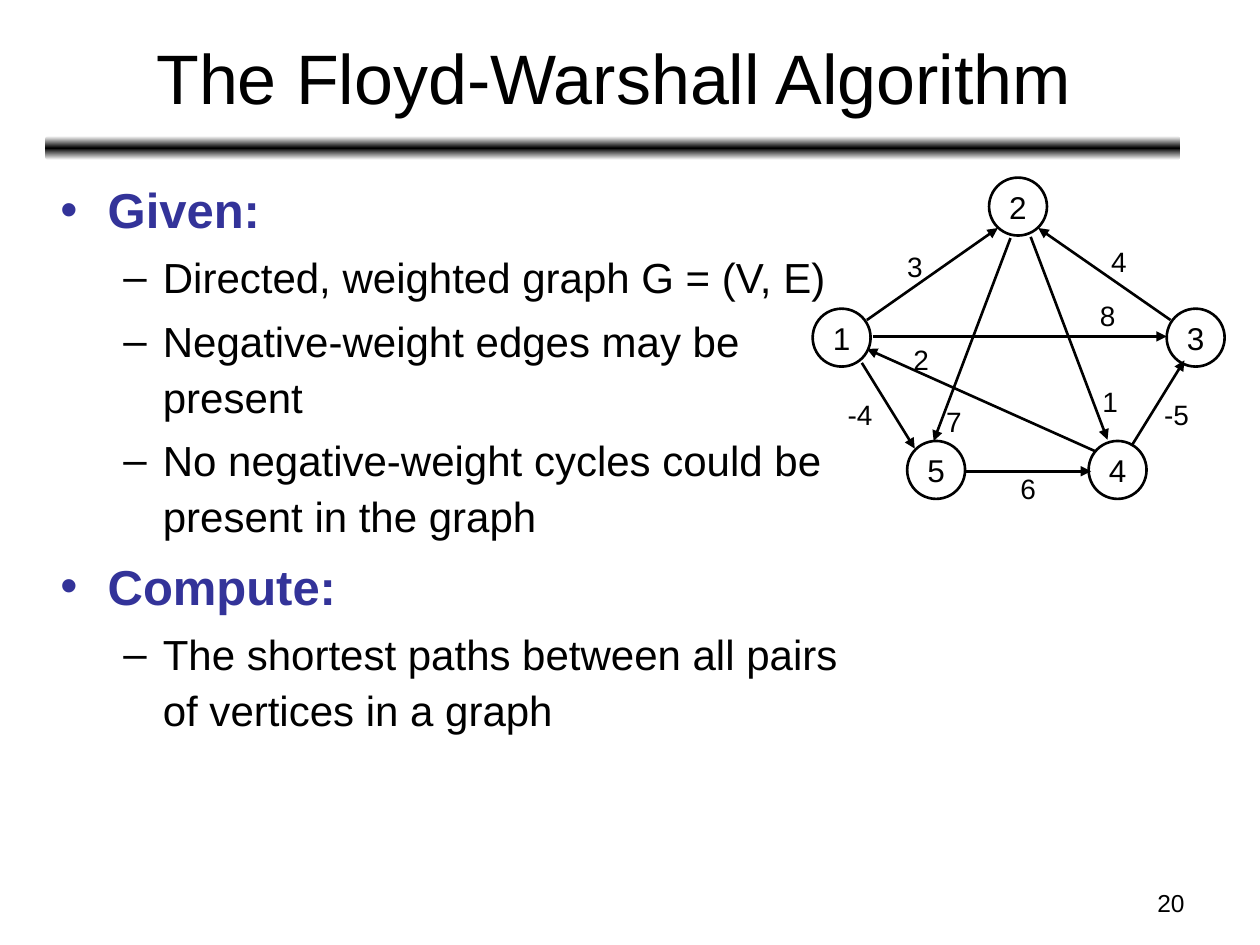
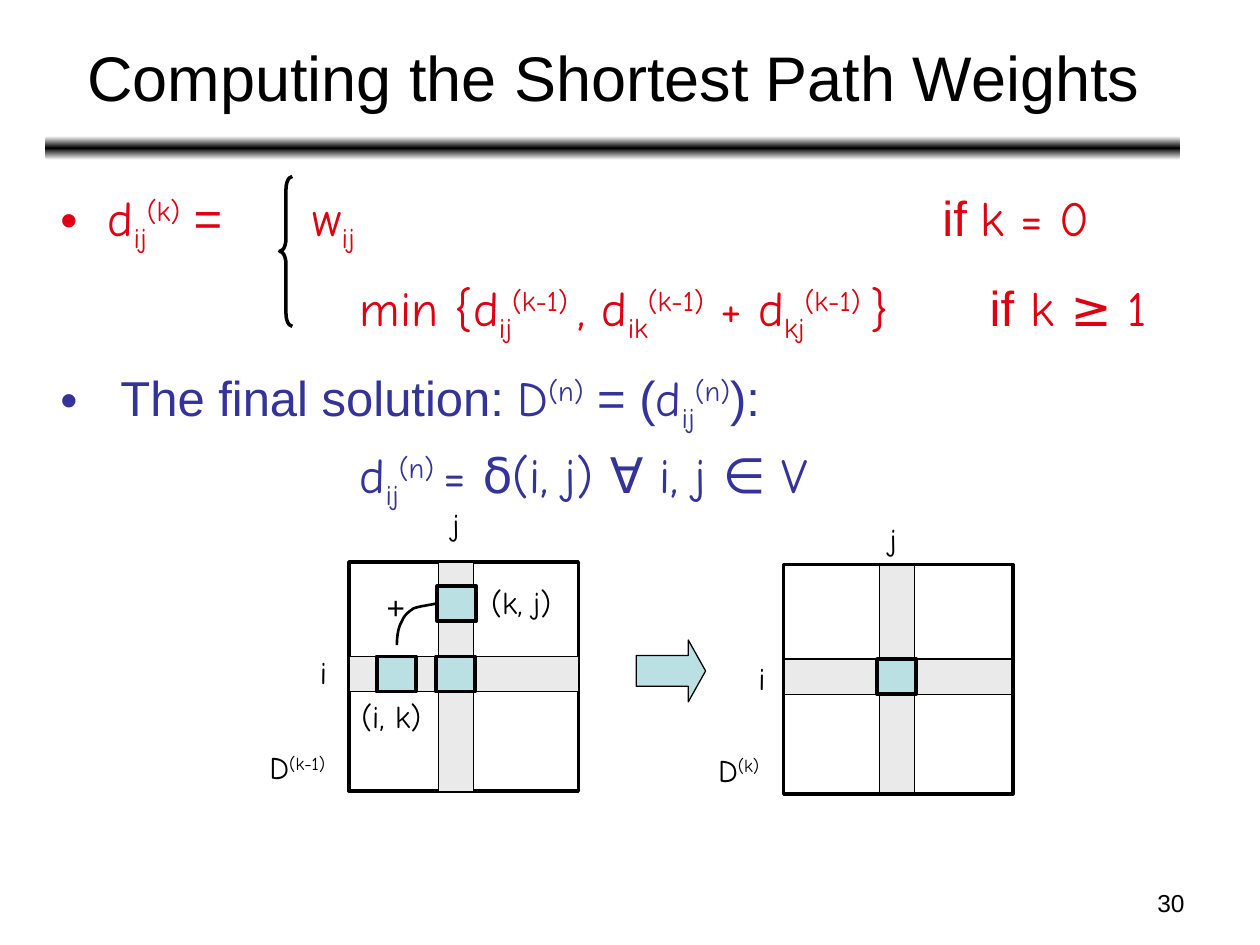
from collections import namedtuple
from copy import deepcopy
from dataclasses import dataclass

from lxml.etree import SubElement
from pptx import Presentation
from pptx.dml.color import RGBColor
from pptx.enum.shapes import MSO_CONNECTOR as Connector, MSO_SHAPE as Preset
from pptx.enum.text import MSO_ANCHOR as Anchor, MSO_AUTO_SIZE as AutoSize, PP_ALIGN as Align
from pptx.oxml.ns import qn
from pptx.util import Inches, Pt

BLACK, WHITE, BLUE, RED = "000000", "FFFFFF", "333399", "DD0111"
BAND_GREY, CELL_TEAL = "EAEAEA", "BBE0E3"
SANS, HAND = "Arial", "Comic Neue"
SUB, SUP = -25, 30
COLUMNS, ROWS = 100, 75
CELL = Inches(10) / COLUMNS

Span = namedtuple("Span", "text shift font", defaults=(0, None))


@dataclass(frozen=True)
class Box:
    """An area of the page, in grid columns and rows."""
    left: float
    top: float
    width: float
    height: float

    def inner(self, left, top, width, height):
        return Box(self.left + left, self.top + top, width, height)

    def point(self, x, y):
        return round((self.left + x) * CELL), round((self.top + y) * CELL)

    def frame(self):
        return (*self.point(0, 0), round(self.width * CELL), round(self.height * CELL))


PAGE = Box(0, 0, COLUMNS, ROWS)
TITLE = PAGE.inner(3.7, 1.1, 90, 9.9)
RULE = PAGE.inner(3.6, 10.8, 90.1, 1.9)
NUMBER = PAGE.inner(71.7, 70, 23.3, 3.5)


def rgb(color):
    return RGBColor.from_string(color)


def sans(text):
    return Span(text, font=SANS)


def term(symbol, lower, upper):
    """A symbol with its subscript and superscript."""
    return [Span(symbol), Span(lower, SUB), Span(upper, SUP)]


def write(para, spans, size, color=BLACK, font=SANS, bold=None):
    para.font.size, para.font.name, para.font.bold = Pt(size), font, bold
    para.font.color.rgb = rgb(color)
    for item in spans:
        span = para.add_run()
        span.text = item.text
        if item.font:
            span.font.name = item.font
        if item.shift:
            span._r.get_or_add_rPr().set("baseline", str(item.shift * 1000))


def add_label(page, box, spans, size, font=SANS, align=None, wrap=False):
    label = page.shapes.add_textbox(*box.frame())
    label.text_frame.word_wrap = wrap
    para = label.text_frame.paragraphs[0]
    para.alignment = align
    write(para, spans, size, font=font)


def style(shape, fill=None, line=BLACK, weight=2.0):
    shape.shadow.inherit = False
    if fill:
        shape.fill.solid()
        shape.fill.fore_color.rgb = rgb(fill)
    else:
        shape.fill.background()
    shape.line.color.rgb = rgb(line)
    shape.line.width = Pt(weight)


def add_preset(page, preset, box, fill=None, weight=2.0, adjust=()):
    shape = page.shapes.add_shape(preset, *box.frame())
    style(shape, fill, weight=weight)
    for index, value in enumerate(adjust):
        shape.adjustments[index] = value
    return shape


def add_arrow(page, start, end):
    arrow = page.shapes.add_connector(Connector.STRAIGHT, *start, *end)
    arrow.line.color.rgb = rgb(BLACK)
    arrow.line.width = Pt(1.5)
    SubElement(arrow.line._get_or_add_ln(), qn("a:tailEnd"), type="triangle")
    SubElement(arrow._element.spPr, qn("a:effectLst"))


def add_curve(page, box, points):
    """Draw joined cubic curves; each takes four points and shares its ends."""
    steps = 8
    track = []
    for first in range(0, len(points) - 1, 3):
        controls = points[first:first + 4]
        for step in range(steps + 1):
            t = step / steps
            weights = ((1 - t) ** 3, 3 * t * (1 - t) ** 2, 3 * t * t * (1 - t), t ** 3)
            track.append(box.point(*(sum(w * p[axis] for w, p in zip(weights, controls))
                                     for axis in (0, 1))))
    builder = page.shapes.build_freeform(*track[0])
    builder.add_line_segments(track[1:], close=False)
    style(builder.convert_to_shape(), weight=1.5)


def add_rule_to_master(deck, page):
    rule = add_preset(page, Preset.ROUNDED_RECTANGLE, RULE, adjust=(0.17,))
    rule.line.fill.background()
    rule.fill.gradient()
    rule.fill.gradient_angle = 90
    stop_list = rule._element.spPr.find(".//" + qn("a:gsLst"))
    stop_list.append(deepcopy(stop_list[0]))
    for stop, position, color in zip(rule.fill.gradient_stops, (0, 0.5, 1), (WHITE, BLACK, WHITE)):
        stop.position = position
        stop.color.rgb = rgb(color)
    deck.slide_master.shapes._spTree.append(rule._element)


def place(holder, box):
    holder.left, holder.top, holder.width, holder.height = box.frame()
    holder.text_frame.auto_size = AutoSize.NONE
    return holder.text_frame


def add_page(deck, title, title_size, number, body_box):
    """Add a page and return it with the text frame of its body."""
    page = deck.slides.add_slide(deck.slide_layouts[1])
    heading = place(page.shapes.title, TITLE).paragraphs[0]
    write(heading, [Span(title)], title_size)
    add_label(page, NUMBER, [Span(number)], 14, align=Align.RIGHT, wrap=True)
    return page, place(page.placeholders[1], body_box)


def paragraphs(frame, count):
    return [frame.paragraphs[0]] + [frame.add_paragraph() for _ in range(count - 1)]


def fill_outline(frame, outline):
    for para, (level, text) in zip(paragraphs(frame, len(outline)), outline):
        para.level = level
        para.line_spacing = 1.1
        if level:
            write(para, [Span(text)], 24)
        else:
            write(para, [Span(text)], 28, BLUE, bold=True)


def draw_graph(page, box):
    node_size = 4.6
    nodes = {"1": (0, 10.4), "2": (14, 0), "3": (28.1, 10.4), "5": (7.5, 20.9), "4": (21.9, 20.9)}
    edges = [  # start, end, weight, corner of the weight
        ((4.3, 11.3), (14.7, 4), "3", (6.5, 5.2)),
        ((3.9, 14.7), (8.1, 21.5), "-4", (1.8, 17)),
        ((12.2, 23.3), (22.1, 23.3), "6", (15.5, 22.8)),
        ((17.3, 4.7), (23.4, 20.8), "1", (22, 15.9)),
        ((22.4, 21.7), (4.3, 13.6), "2", (7, 12.6)),
        ((28.4, 11.3), (17.9, 4), "4", (22.7, 4.8)),
        ((15.7, 4.8), (9.6, 20.9), "7", (9.6, 17.5)),
        ((25.3, 21.3), (29.5, 14.5), "-5", (26.9, 17)),
        ((4.8, 12.6), (28.1, 12.6), "8", (21.8, 9.1)),
    ]
    for name, corner in nodes.items():
        node = add_preset(page, Preset.OVAL, box.inner(*corner, node_size, node_size), weight=1.5)
        node.text_frame.word_wrap = False
        node.text_frame.vertical_anchor = Anchor.MIDDLE
        para = node.text_frame.paragraphs[0]
        para.alignment = Align.CENTER
        write(para, [Span(name)], 18)
    for start, end, weight, corner in edges:
        add_arrow(page, box.point(*start), box.point(*end))
        add_label(page, box.inner(*corner, 2.4 + 0.8 * len(weight), 3.7), [Span(weight)], 16)


def fill_formulas(frame):
    recurrence = [*term("d", "ij", "(k)"), sans(" = \t"), Span("w"), Span("ij", SUB),
                  sans("\t\t\t\t\tif "), Span("k = 0")]
    minimum = [Span("\t\t\tmin {"), *term("d", "ij", "(k-1) "), Span(", "),
               *term("d", "ik", "(k-1)"), Span(" + "), *term("d", "kj", "(k-1) "),
               Span("}\t"), sans("if"), Span(" k ≥ 1")]
    solution = [sans(" The final solution: "), Span("D"), Span("(n)", SUP), sans(" = ("),
                *term("d", "ij", "(n)"), sans("):")]
    meaning = [sans("\t\t\t"), *term("d", "ij", "(n) "), Span("= δ(i, j) ∀ i, j ∈ V")]
    formulas = [(recurrence, RED, 1.2, True), (minimum, RED, 1.2, False),
                (solution, BLUE, 1.2, True), (meaning, BLUE, 1.0, False)]
    for para, (spans, color, spacing, bulleted) in zip(paragraphs(frame, len(formulas)), formulas):
        para.line_spacing = spacing
        properties = para._p.get_or_add_pPr()
        properties.set("defTabSz", str(Inches(1)))
        if not bulleted:
            SubElement(properties, qn("a:buNone"))
        write(para, spans, 28, color, HAND)


def draw_matrix(page, box, column_left, cells, labels, frame_in_front):
    """Draw a square matrix with one grey row and column, cells and labels."""
    band = 2.8
    row = (box.inner(0, 7.5, box.width, band), BAND_GREY, 0.75)
    column = (box.inner(column_left, 0, band, box.height), BAND_GREY, 0.75)
    outline = (box, None, 2)
    layers = [row, column, outline] if frame_in_front else [outline, row, column]
    layers += [(box.inner(*corner, 3.1, band), CELL_TEAL, 2) for corner in cells]
    for area, fill, weight in layers:
        add_preset(page, Preset.RECTANGLE, area, fill, weight)
    for left, top, width, spans in labels:
        add_label(page, box.inner(left, top, width, 4), spans, 18, HAND)


def draw_update_step(page, box):
    """Show the old matrix, an arrow and the new matrix."""
    side = 18.2
    before = box.inner(0, 0, side, side)
    after = box.inner(34.5, 0.2, side, side)
    draw_matrix(page, before, 7.1, [(2.2, 7.5), (7, 1.9), (6.9, 7.5)], [
        (-3.3, 6.7, 2.7, [Span("i")]),
        (7.2, -5, 3, [Span("j")]),
        (-7.3, 14.3, 7.4, [Span("D"), Span("(k-1)", SUP)]),
        (0, 10.2, 7.3, [Span("(i, k)")]),
        (10.3, 1.2, 7.7, [Span("(k, j)")]),
        (2, 1.6, 3.5, [sans("+")]),
    ], frame_in_front=False)
    add_curve(page, before, [(3.8, 6.6), (3.8, 5.9), (3.9, 5.2), (4.2, 4.7), (4.4, 4.2),
                             (4.7, 4), (5.1, 3.7), (5.6, 3.5), (6.6, 3.4), (6.9, 3.3)])
    add_preset(page, Preset.RIGHT_ARROW, box.inner(22.8, 6.2, 5.5, 4.9), CELL_TEAL, 0.75, (0.5, 0.28))
    draw_matrix(page, after, 7.6, [(7.4, 7.5)], [
        (-3, 7, 2.7, [Span("i")]),
        (7.4, -4, 3, [Span("j")]),
        (-6.2, 14.3, 5.9, [Span("D"), Span("(k)", SUP)]),
    ], frame_in_front=True)


def build_problem_page(deck):
    page, body = add_page(deck, "The Floyd-Warshall Algorithm", 40, "20",
                          PAGE.inner(3.8, 13.3, 64, 55.5))
    fill_outline(body, [
        (0, "Given:"),
        (1, "Directed, weighted graph G = (V, E)"),
        (1, "Negative-weight edges may be present"),
        (1, "No negative-weight cycles could be present in the graph"),
        (0, "Compute:"),
        (1, "The shortest paths between all pairs of vertices in a graph"),
    ])
    draw_graph(page, PAGE.inner(64.5, 14.1, 32.7, 25.5))
    return page


def build_weights_page(deck):
    page, body = add_page(deck, "Computing the Shortest Path Weights", 36, "30",
                          PAGE.inner(3.8, 13.3, 90, 29.6))
    fill_formulas(body)
    add_preset(page, Preset.LEFT_BRACE, PAGE.inner(22.2, 14, 1, 11.9), adjust=(1.02, 0.5))
    draw_update_step(page, PAGE.inner(27.7, 44.6, 52.7, 18.4))


def main():
    deck = Presentation()
    deck.slide_width, deck.slide_height = Inches(10), Inches(7.5)
    add_rule_to_master(deck, build_problem_page(deck))
    build_weights_page(deck)
    deck.save("out.pptx")


if __name__ == "__main__":
    main()
